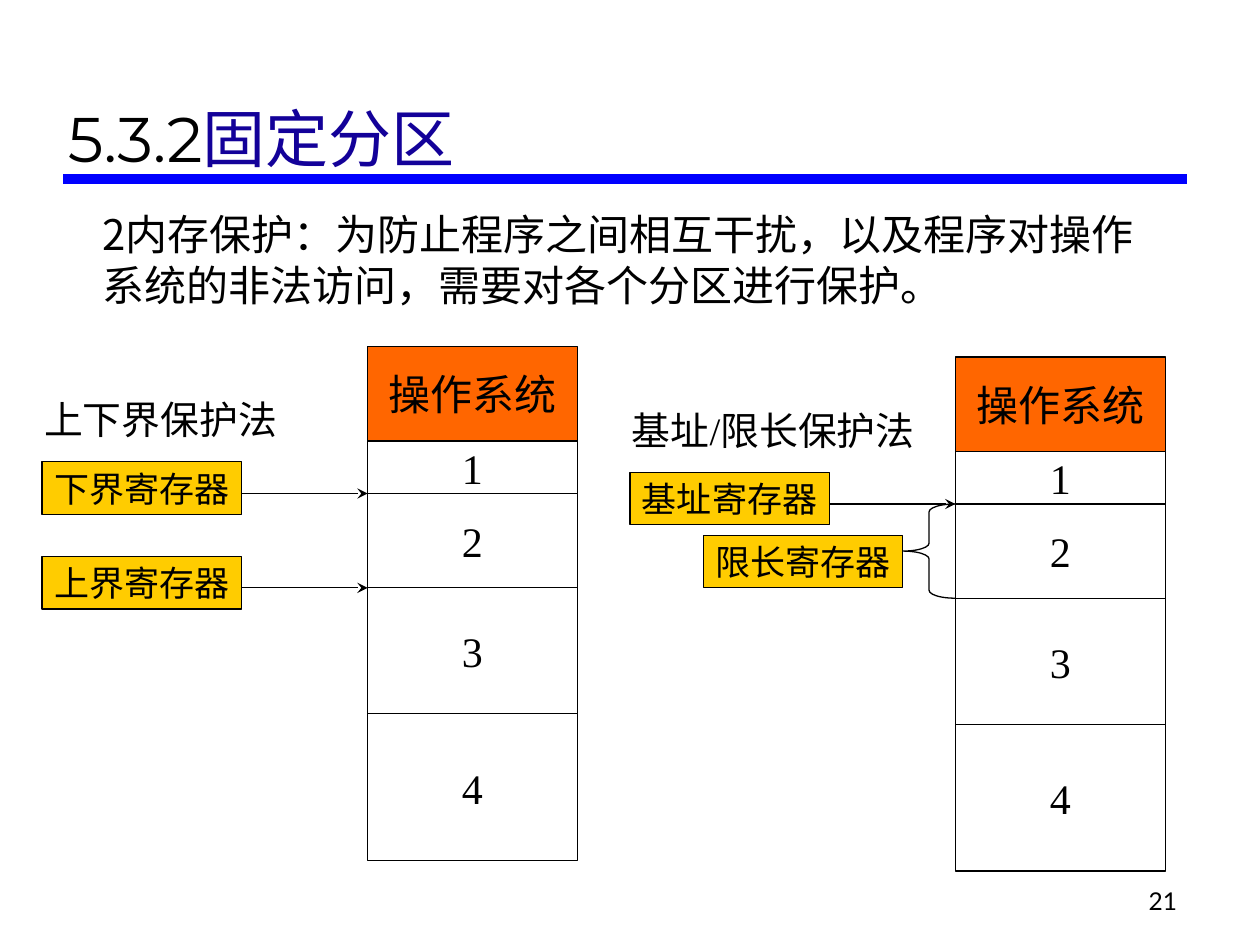
import pptx
import pptx.util
import pptx.dml.color
import pptx.enum.shapes
import pptx.enum.text
import pptx.oxml
import pptx.oxml.ns

Cm, Pt = pptx.util.Cm, pptx.util.Pt
RGB = pptx.dml.color.RGBColor
KIND = pptx.enum.shapes.MSO_SHAPE
ALIGN = pptx.enum.text.PP_ALIGN
ANCHOR = pptx.enum.text.MSO_ANCHOR

BLACK = RGB(0x00, 0x00, 0x00)
WHITE = RGB(0xFF, 0xFF, 0xFF)
BLUE = RGB(0x00, 0x00, 0xFF)
NAVY = RGB(0x13, 0x01, 0x99)
ORANGE = RGB(0xFF, 0x66, 0x00)
GOLD = RGB(0xFF, 0xCC, 0x00)
SERIF = "Times New Roman"


def write(shape, runs, size, face, frame, para):
    """Fill a shape with one paragraph of (text, colour) runs."""
    text = shape.text_frame
    for key, val in frame.items():
        setattr(text, key, val)
    line = text.paragraphs[0]
    for key, val in para.items():
        setattr(line, key, val)
    for words, color in runs:
        run = line.add_run()
        run.text = words
        for key, val in {"size": Pt(size), "name": face}.items():
            setattr(run.font, key, val)
        run.font.color.rgb = color


def link(shapes, x1, x2, y, color, width):
    """Draw a level line without a shadow."""
    line = shapes.add_connector(pptx.enum.shapes.MSO_CONNECTOR.STRAIGHT,
                                Cm(x1), Cm(y), Cm(x2), Cm(y))
    line.line.color.rgb = color
    line.line.width = Pt(width)
    pptx.oxml.ns.qn("a:effectLst")
    line._element.spPr.append(pptx.oxml.parse_xml(
        "<a:effectLst %s/>" % pptx.oxml.ns.nsdecls("a")))
    return line


deck = pptx.Presentation()
deck.slide_width, deck.slide_height = Cm(25.4), Cm(19.05)
slide = deck.slides.add_slide(deck.slide_layouts[6])

# Rule under the title
link(slide.shapes, 1.27, 23.92, 3.61, BLUE, 6)

# Page number, title and body
texts = [
    ((18.7, 17.3, 5.28, 1.27), [("21", BLACK)], 14, "Lato",
     {"vertical_anchor": ANCHOR.BOTTOM}, {"alignment": ALIGN.RIGHT}),
    ((1.12, 0.48, 22.8, 3.18), [("5.3.2", BLACK), ("固定分区", NAVY)],
     36, "Montserrat", {"vertical_anchor": ANCHOR.BOTTOM}, {}),
    ((0.85, 4.07, 22.83, 2.74),
     [("2内存保护：为防止程序之间相互干扰，以及程序对操作系统的"
       "非法访问，需要对各个分区进行保护。", BLACK)],
     24, "Noto Sans CJK SC", {"margin_left": Cm(1.22)},
     {"line_spacing": Pt(29)}),
]
for place, runs, size, face, frame, para in texts:
    box = slide.shapes.add_textbox(*map(Cm, place))
    write(box, runs, size, face, {"word_wrap": True, **frame}, para)

# Two protection schemes: origin, label, label width, registers, arrows
schemes = [
    (0, 0, "上下界保护法", 6.15,
     [("下界寄存器", 0.85, 9.31), ("上界寄存器", 0.85, 11.22)],
     [9.95, 11.85]),
    (11.85, 0.21, "基址/限长保护法", 6.99,
     [("基址寄存器", 0.85, 9.31), ("限长寄存器", 2.33, 10.58)],
     [9.95]),
]
parts = [("操作系统", 1.9, ORANGE), ("1", 1.06, WHITE), ("2", 1.9, WHITE),
         ("3", 2.54, WHITE), ("4", 2.96, WHITE)]
left, top, wide = 7.41, 6.99, 4.23
reg_w, reg_h = 4.02, 1.06

for dx, dy, label, label_w, regs, marks in schemes:
    group = slide.shapes.add_group_shape().shapes

    # Memory partitions, stacked, then registers
    boxes = []
    y = top
    for words, tall, color in parts:
        boxes.append((words, left, y, wide, tall, color, 24))
        y += tall
    for words, x, y in regs:
        boxes.append((words, x, y, reg_w, reg_h, GOLD, 20))
    for words, x, y, w, h, color, size in boxes:
        box = group.add_shape(KIND.RECTANGLE, Cm(x + dx), Cm(y + dy),
                              Cm(w), Cm(h))
        box.shadow.inherit = False
        box.fill.solid()
        box.fill.fore_color.rgb = color
        box.line.color.rgb = BLACK
        box.line.width = Pt(0.75)
        write(box, [(words, BLACK)], size, SERIF,
              {"word_wrap": False, "vertical_anchor": ANCHOR.MIDDLE},
              {"alignment": ALIGN.CENTER})

    # Arrows to the partition borders
    for y in marks:
        arrow = link(group, 0.85 + reg_w + dx, left + dx, y + dy, BLACK, 0.75)
        arrow.line._get_or_add_ln().append(pptx.oxml.parse_xml(
            '<a:tailEnd type="stealth" %s/>' % pptx.oxml.ns.nsdecls("a")))

    # Name of the scheme
    name = group.add_textbox(Cm(0.64 + dx), Cm(8.04 + dy),
                             Cm(label_w), Cm(1.06))
    write(name, [(label, BLACK)], 22.2, SERIF,
          {"word_wrap": True}, {"line_spacing": 0.8})

# Brace from the limit register to partition 2
brace = slide.shapes.add_shape(KIND.LEFT_BRACE, Cm(18.2), Cm(10.16),
                               Cm(1.06), Cm(1.9))
brace.shadow.inherit = False
brace.adjustments[0] = 0.15
brace.fill.background()
brace.line.color.rgb = BLACK
brace.line.width = Pt(0.75)

deck.save("out.pptx")
